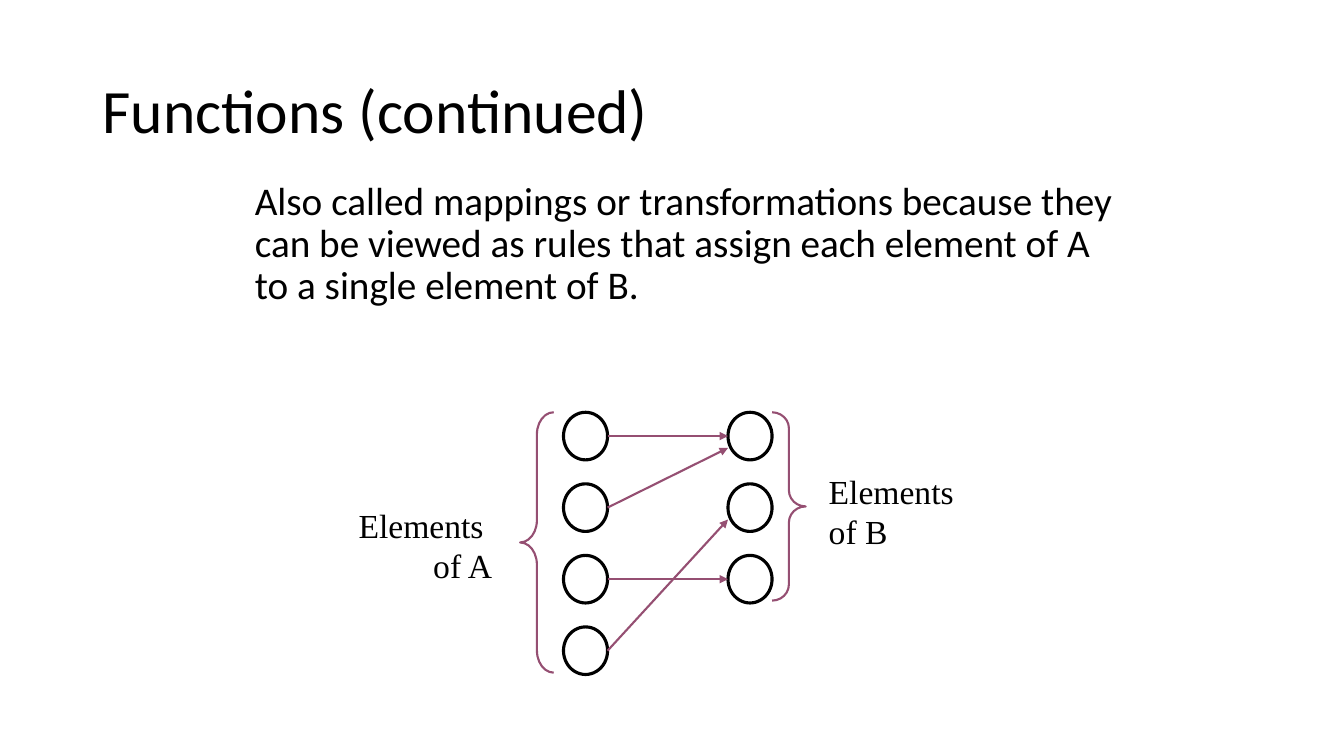
"""Build the slide on functions as mappings from A to B."""
from lxml import etree
from pptx import Presentation
from pptx.dml.color import RGBColor
from pptx.enum.shapes import MSO_CONNECTOR, MSO_SHAPE
from pptx.enum.text import MSO_ANCHOR, PP_ALIGN
from pptx.oxml.ns import qn
from pptx.util import Pt

LEFT, RIGHT = PP_ALIGN.LEFT, PP_ALIGN.RIGHT
TOP, MIDDLE = MSO_ANCHOR.TOP, MSO_ANCHOR.MIDDLE
OVAL = MSO_SHAPE.OVAL
LEFT_BRACE, RIGHT_BRACE = MSO_SHAPE.LEFT_BRACE, MSO_SHAPE.RIGHT_BRACE
STRAIGHT = MSO_CONNECTOR.STRAIGHT

COLORS = {"ink": "000000", "mapping": "954F72"}
TITLE = "Functions (continued)"
BODY = ("Also called mappings or transformations because they can be viewed as "
        "rules that assign each element of A to a single element of B.")
SETS = [(402.5, 4), (520, 3)]
BRACES = [(LEFT_BRACE, 371.5, 186, 0.658), (RIGHT_BRACE, 551.5, 134.5, 0.478)]
LABELS = [("Elements \vof A", (234.7, 360.7, 116.7, 59), RIGHT),
          ("Elements \vof B", (592, 336.2, 124, 59), LEFT)]
MAPPINGS = [(0, 0, 0), (1, 0, 8.5), (2, 2, 0), (3, 1, 8.5)]

FIRST_TOP, ROW_STEP = 294.5, 51.1
CIRCLE_WIDTH, CIRCLE_HEIGHT = 31.5, 34
BRACE_WIDTH = 24


def color(name):
    return RGBColor.from_string(COLORS[name])


def points(*values):
    return [Pt(value) for value in values]


def style_line(shape, name, width):
    shape.line.color.rgb = color(name)
    shape.line.width = Pt(width)


def write(box, text, font, size, align, anchor, inset=(7.2, 3.6), spacing=None):
    frame = box.text_frame
    frame.word_wrap = True
    frame.vertical_anchor = anchor
    frame.margin_left = frame.margin_right = Pt(inset[0])
    frame.margin_top = frame.margin_bottom = Pt(inset[1])
    para = frame.paragraphs[0]
    para.text = text
    para.alignment = align
    para.line_spacing = spacing
    para.font.name = font
    para.font.size = Pt(size)
    para.font.color.rgb = color("ink")
    return para


def add_outline(page, kind, bounds, name, width):
    shape = page.shapes.add_shape(kind, *points(*bounds))
    shape.shadow.inherit = False
    shape.fill.background()
    style_line(shape, name, width)
    return shape


def add_arrow(page, start, end):
    arrow = page.shapes.add_connector(STRAIGHT, *points(*start, *end))
    style_line(arrow, "mapping", 1.5)
    etree.SubElement(arrow.line._get_or_add_ln(), qn("a:tailEnd"), type="triangle")
    etree.SubElement(arrow._element.spPr, qn("a:effectLst"))


def row_center(row):
    return FIRST_TOP + row * ROW_STEP + CIRCLE_HEIGHT / 2


def main():
    deck = Presentation()
    deck.slide_width, deck.slide_height = points(960, 540)
    page = deck.slides.add_slide(deck.slide_layouts[5])

    title = page.shapes.title
    title.left, title.top, title.width, title.height = points(66, 28.8, 828, 104.4)
    write(title, TITLE, "Calibri", 44, LEFT, MIDDLE, spacing=0.9)

    body = page.shapes.add_textbox(*points(156, 126, 648, 356.4))
    para = write(body, BODY, "Calibri", 28, LEFT, TOP, spacing=0.9)
    para._p.get_or_add_pPr().set("marL", str(Pt(19)))

    for left, count in SETS:
        for row in range(count):
            bounds = (left, FIRST_TOP + row * ROW_STEP, CIRCLE_WIDTH, CIRCLE_HEIGHT)
            add_outline(page, OVAL, bounds, "ink", 2.25)

    for kind, left, height, curve in BRACES:
        bounds = (left, FIRST_TOP, BRACE_WIDTH, height)
        brace = add_outline(page, kind, bounds, "mapping", 1.5)
        brace.adjustments[0] = curve

    for text, bounds, align in LABELS:
        label = page.shapes.add_textbox(*points(*bounds))
        write(label, text, "Times New Roman", 24, align, TOP, inset=(0, 0))

    start_x, end_x = SETS[0][0] + CIRCLE_WIDTH, SETS[1][0]
    for source, target, drop in MAPPINGS:
        add_arrow(page, (start_x, row_center(source)), (end_x, row_center(target) + drop))

    deck.save("out.pptx")


if __name__ == "__main__":
    main()
